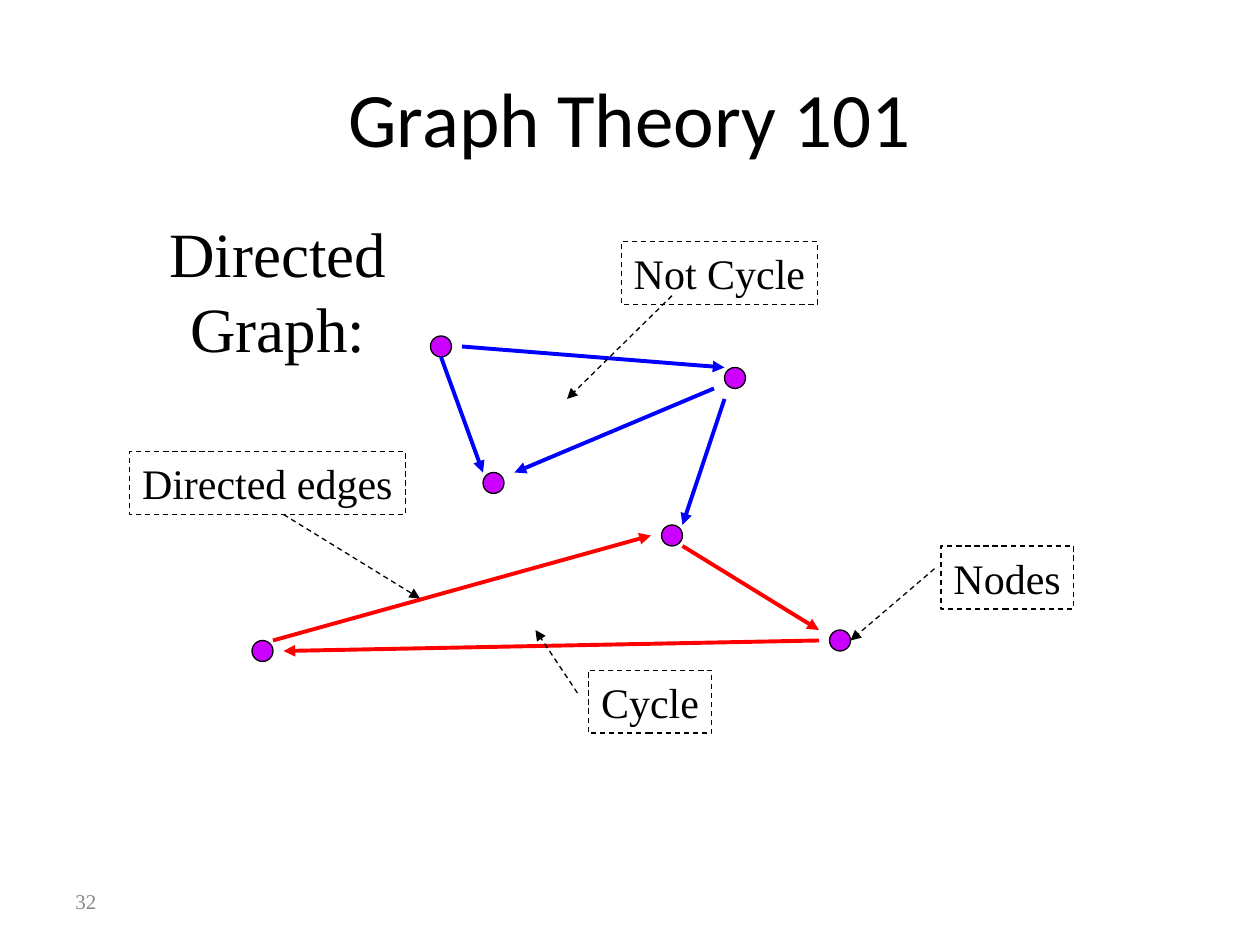
from lxml import etree
from pptx import Presentation
from pptx.dml.color import RGBColor
from pptx.enum import dml, shapes, text
from pptx.oxml import ns
from pptx.util import Pt

SERIF = "Times New Roman"
BLACK, BLUE, RED = "000000", "0000FF", "FF0000"


def write(shape, words, size, font, color, align, anchor, wrap):
    frame = shape.text_frame
    frame.word_wrap = wrap
    frame.vertical_anchor = anchor
    paragraph = frame.paragraphs[0]
    paragraph.alignment = align
    run = paragraph.add_run()
    run.text = words
    run.font.size = Pt(size)
    run.font.name = font
    run.font.color.rgb = RGBColor.from_string(color)


def draw_arrow(slide, start, end, color, width, dash=None):
    connector = slide.shapes.add_connector(
        shapes.MSO_CONNECTOR.STRAIGHT, *[Pt(value) for value in start + end])
    connector.line.color.rgb = RGBColor.from_string(color)
    connector.line.width = Pt(width)
    connector.line.dash_style = dash
    line = connector.line._get_or_add_ln()
    etree.SubElement(line, ns.qn("a:tailEnd"), type="triangle")
    etree.SubElement(connector._element.spPr, ns.qn("a:effectLst"))


presentation = Presentation()
presentation.slide_width, presentation.slide_height = Pt(720), Pt(540)
slide = presentation.slides.add_slide(presentation.slide_layouts[5])

title = slide.shapes.title
title.left, title.top, title.width, title.height = Pt(36), Pt(21.6), Pt(648), Pt(90)
write(title, "Graph Theory 101", 44, "Calibri", BLACK,
      text.PP_ALIGN.CENTER, text.MSO_ANCHOR.MIDDLE, True)

page_number = slide.shapes.add_textbox(Pt(36), Pt(500.5), Pt(168), Pt(28.75))
write(page_number, "32", 12, SERIF, "898989",
      text.PP_ALIGN.LEFT, text.MSO_ANCHOR.MIDDLE, True)

nodes = [(474, 360), (246, 192), (144, 366), (414, 210), (276, 270), (378, 300)]
for left, top in nodes:
    node = slide.shapes.add_shape(
        shapes.MSO_SHAPE.OVAL, Pt(left), Pt(top), Pt(12), Pt(12))
    node.shadow.inherit = False
    node.fill.solid()
    node.fill.fore_color.rgb = RGBColor.from_string("CC00FF")
    node.line.color.rgb = RGBColor.from_string(BLACK)
    node.line.width = Pt(0.75)

edges = [
    ((252, 204), (276, 270), BLUE),
    ((264, 198), (414, 210), BLUE),
    ((414, 228), (390, 300), BLUE),
    ((156, 366), (372, 306), RED),
    ((390, 312), (468, 360), RED),
    ((468, 366), (162, 372), RED),
    ((408, 222), (294, 270), BLUE),
]
for start, end, color in edges:
    draw_arrow(slide, start, end, color, 2.25)

heading = slide.shapes.add_textbox(Pt(35.3), Pt(118.8), Pt(247), Pt(50.4))
write(heading, "Directed Graph:", 36, SERIF, BLACK,
      text.PP_ALIGN.CENTER, text.MSO_ANCHOR.TOP, False)

labels = [
    ("Cycle", 336.2, 383, 70.6, (330, 396), (306, 360)),
    ("Not Cycle", 355, 138, 112.2, (384, 169), (324, 228)),
    ("Nodes", 537.7, 312, 75.6, (534, 325), (486, 366)),
    ("Directed edges", 74, 258, 157.6, (162, 294), (240, 342)),
]
for words, left, top, width, start, end in labels:
    label = slide.shapes.add_textbox(Pt(left), Pt(top), Pt(width), Pt(36))
    label.line.color.rgb = RGBColor.from_string(BLACK)
    label.line.width = Pt(0.75)
    label.line.dash_style = dml.MSO_LINE.DASH
    write(label, words, 24, SERIF, BLACK,
          text.PP_ALIGN.CENTER, text.MSO_ANCHOR.TOP, False)
    draw_arrow(slide, start, end, BLACK, 0.75, dml.MSO_LINE.DASH)

presentation.save("out.pptx")
